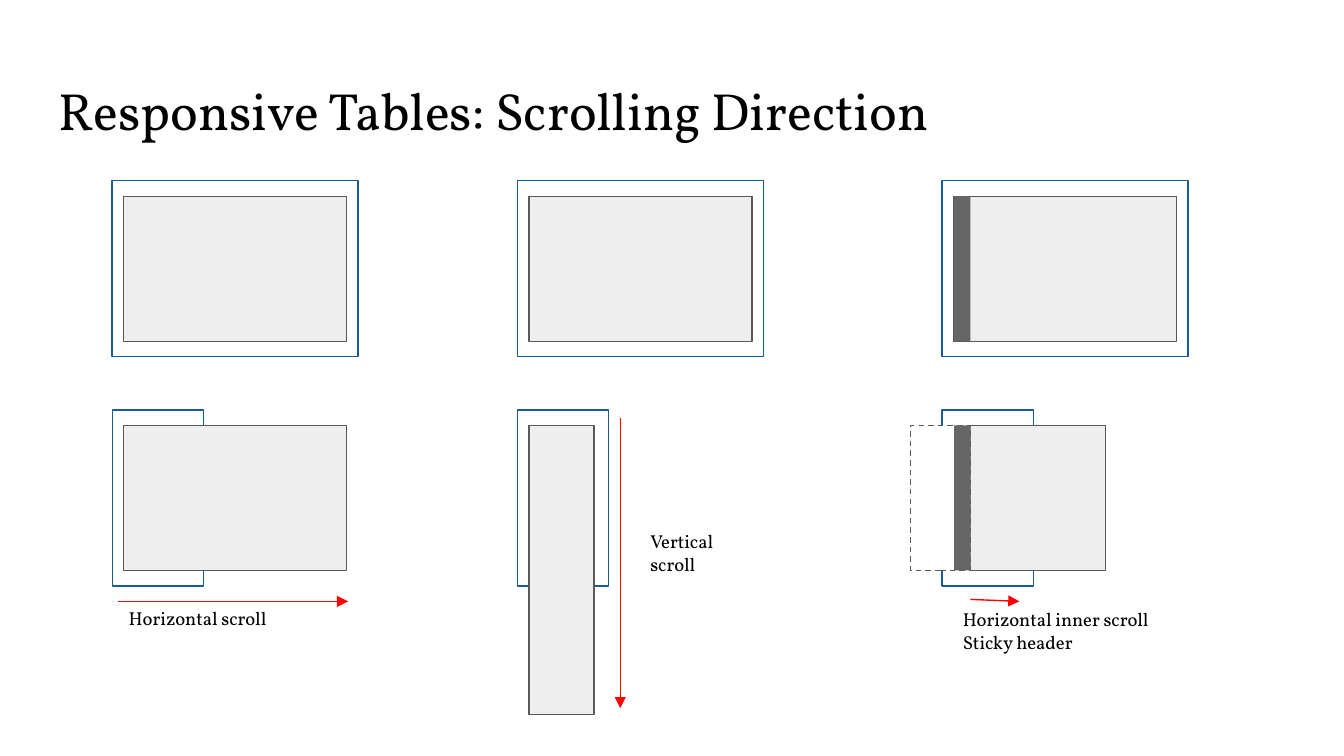
from dataclasses import dataclass

from lxml import etree
from pptx import Presentation
from pptx.dml.color import RGBColor
from pptx.enum.dml import MSO_LINE
from pptx.enum.shapes import MSO_CONNECTOR, MSO_SHAPE
from pptx.enum.text import MSO_ANCHOR
from pptx.oxml.ns import qn
from pptx.util import Emu, Pt

RECTANGLE = MSO_SHAPE.RECTANGLE
STRAIGHT = MSO_CONNECTOR.STRAIGHT
DASH = MSO_LINE.DASH
TOP = MSO_ANCHOR.TOP

EMU_PER_PX = 4572  # 200 px to the inch


@dataclass(frozen=True)
class Theme:
    font: str = "Vollkorn"
    title_size: int = 28
    label_size: int = 10
    line_width: float = 0.75
    text: str = "000000"
    viewport: str = "195C99"
    table: str = "EEEEEE"
    outline: str = "595959"
    header: str = "666666"
    hidden: str = "FFFFFF"
    arrow: str = "FF0000"


THEME = Theme()

# Layout in px
SLIDE_WIDTH, SLIDE_HEIGHT = 2000, 1125
COLUMNS = (167, 770, 1402)
WIDE_TOP, NARROW_TOP = 269, 610
VIEWPORT_HEIGHT = 262
WIDE, NARROW = 366, 136
INSET_X, INSET_Y = 17, 23
TABLE_WIDTH, TABLE_HEIGHT = 332, 216
HEADER_WIDTH = 24
TEXT_MARGIN = 20


def px(value):
    return Emu(value * EMU_PER_PX)


def color(value):
    return RGBColor.from_string(value)


def add_rectangle(page, left, top, width, height, fill=None, line=None, dash=None):
    box = page.shapes.add_shape(RECTANGLE, px(left), px(top), px(width), px(height))
    box.shadow.inherit = False
    if fill:
        box.fill.solid()
        box.fill.fore_color.rgb = color(fill)
    else:
        box.fill.background()
    if line:
        box.line.color.rgb = color(line)
        box.line.width = Pt(THEME.line_width)
        if dash:
            box.line.dash_style = dash
    else:
        box.line.fill.background()


def add_viewport(page, left, top, width):
    add_rectangle(page, left, top, width, VIEWPORT_HEIGHT, line=THEME.viewport)


def add_table_block(page, left, top, width=TABLE_WIDTH, height=TABLE_HEIGHT):
    add_rectangle(page, left, top, width, height, THEME.table, THEME.outline)


def add_sticky_header(page, left, top):
    add_rectangle(page, left, top, HEADER_WIDTH, TABLE_HEIGHT, THEME.header)


def add_arrow(page, start, end):
    arrow = page.shapes.add_connector(STRAIGHT, *map(px, start + end))
    arrow.line.color.rgb = color(THEME.arrow)
    arrow.line.width = Pt(THEME.line_width)
    properties = arrow._element.spPr
    etree.SubElement(properties.find(qn("a:ln")), qn("a:tailEnd"), type="triangle")
    etree.SubElement(properties, qn("a:effectLst"))


def add_text(page, left, top, width, height, lines, size):
    box = page.shapes.add_textbox(px(left), px(top), px(width), px(height))
    frame = box.text_frame
    frame.word_wrap = True
    frame.vertical_anchor = TOP
    frame.margin_left = frame.margin_right = px(TEXT_MARGIN)
    frame.margin_top = frame.margin_bottom = px(TEXT_MARGIN)
    for index, line in enumerate(lines):
        para = frame.add_paragraph() if index else frame.paragraphs[0]
        span = para.add_run()
        span.text = line
        span.font.name = THEME.font
        span.font.size = Pt(size)
        span.font.color.rgb = color(THEME.text)


def add_label(page, left, top, width, *lines):
    add_text(page, left, top, width, 70, lines, THEME.label_size)


def main():
    deck = Presentation()
    deck.slide_width, deck.slide_height = px(SLIDE_WIDTH), px(SLIDE_HEIGHT)
    page = deck.slides.add_slide(deck.slide_layouts[6])

    add_text(page, 68, 97, 1864, 126, ["Responsive Tables: Scrolling Direction"],
             THEME.title_size)

    # Wide and narrow viewports, with the full table in each wide one
    for left in COLUMNS:
        add_viewport(page, left, WIDE_TOP, WIDE)
        add_viewport(page, left, NARROW_TOP, NARROW)
        add_table_block(page, left + INSET_X, WIDE_TOP + INSET_Y)

    first, second, third = (left + INSET_X for left in COLUMNS)
    table_top = NARROW_TOP + INSET_Y

    # Horizontal scroll: the table runs past the right edge
    add_table_block(page, first, table_top)
    add_arrow(page, (176, 895), (518, 895))
    add_label(page, 172, 887, 332, "Horizontal scroll")

    # Vertical scroll: the table is stacked past the bottom edge
    add_table_block(page, second, table_top, 97, 430)
    add_arrow(page, (923, 622), (923, 1054))
    add_label(page, 948, 769, 332, "Vertical", "scroll")

    # Inner scroll: columns slide under a sticky header
    header_left = third + 1
    body_left = header_left + HEADER_WIDTH
    hidden_left = 1355
    add_sticky_header(page, header_left, WIDE_TOP + INSET_Y)
    add_table_block(page, body_left, table_top, 201)
    add_rectangle(page, hidden_left, table_top, body_left - hidden_left, TABLE_HEIGHT,
                  THEME.hidden, THEME.outline, DASH)
    add_sticky_header(page, header_left, table_top)
    add_arrow(page, (body_left, 892), (1517, 895))
    add_label(page, 1413, 885, 342, "Horizontal inner scroll", "Sticky header")

    deck.save("out.pptx")


if __name__ == "__main__":
    main()
